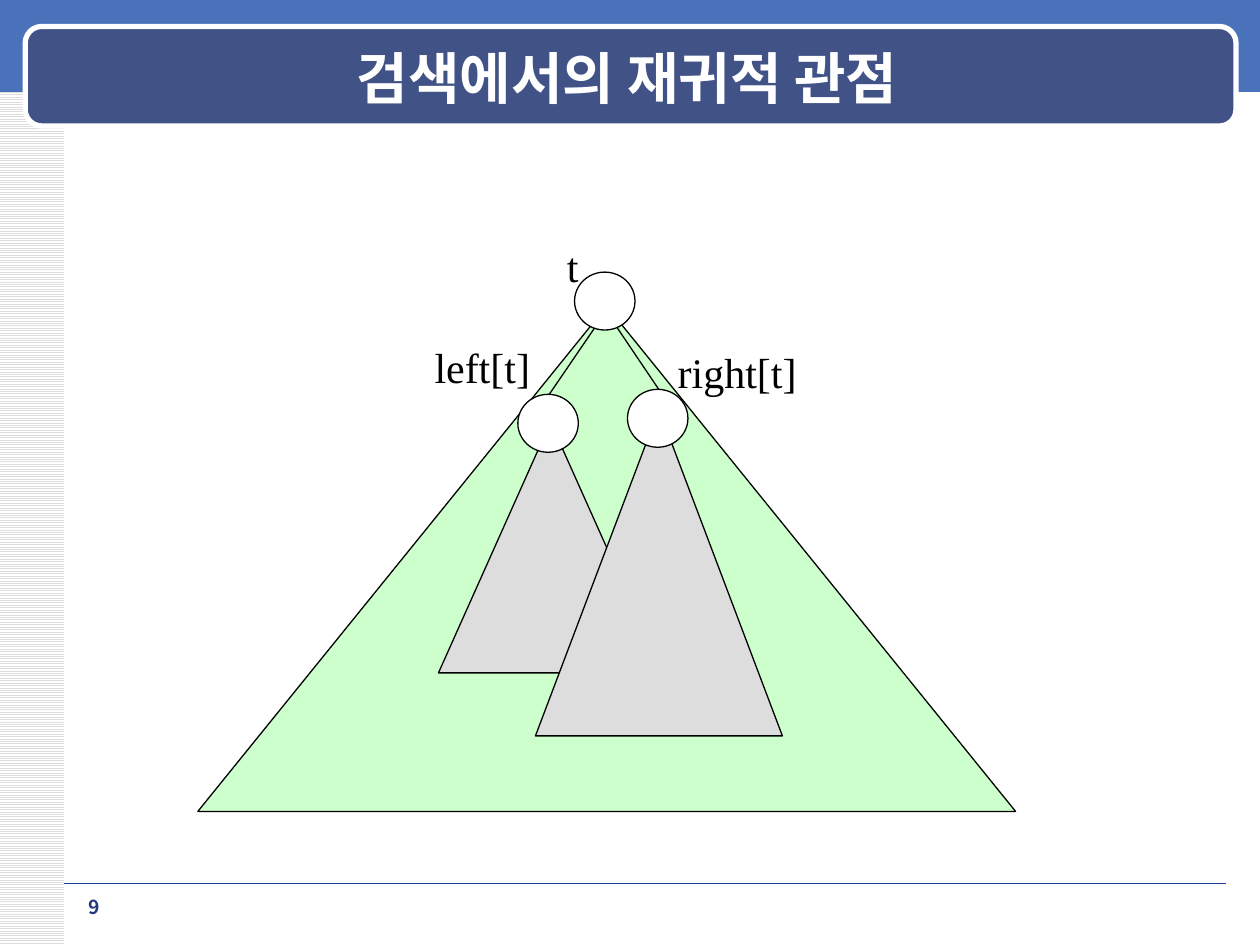
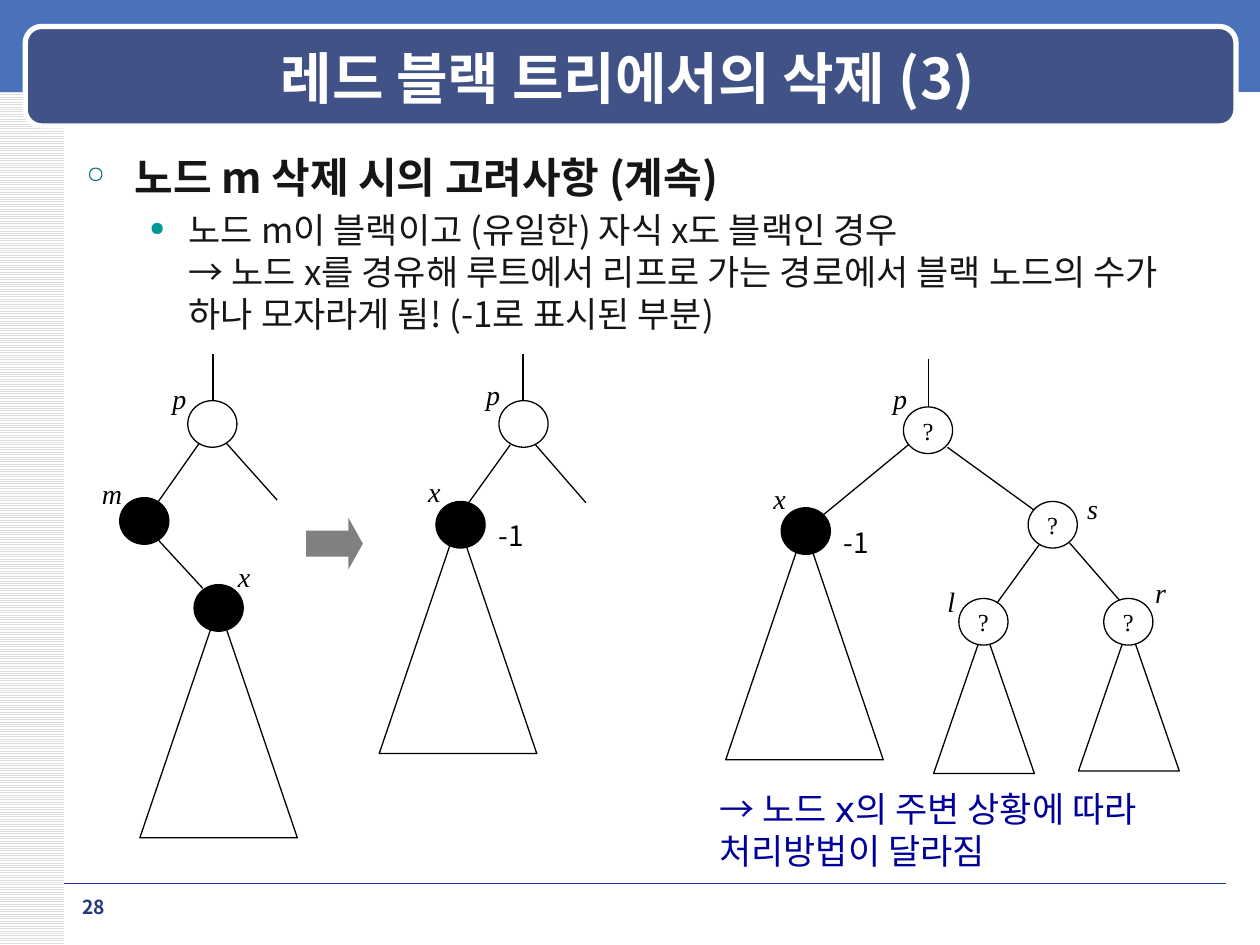
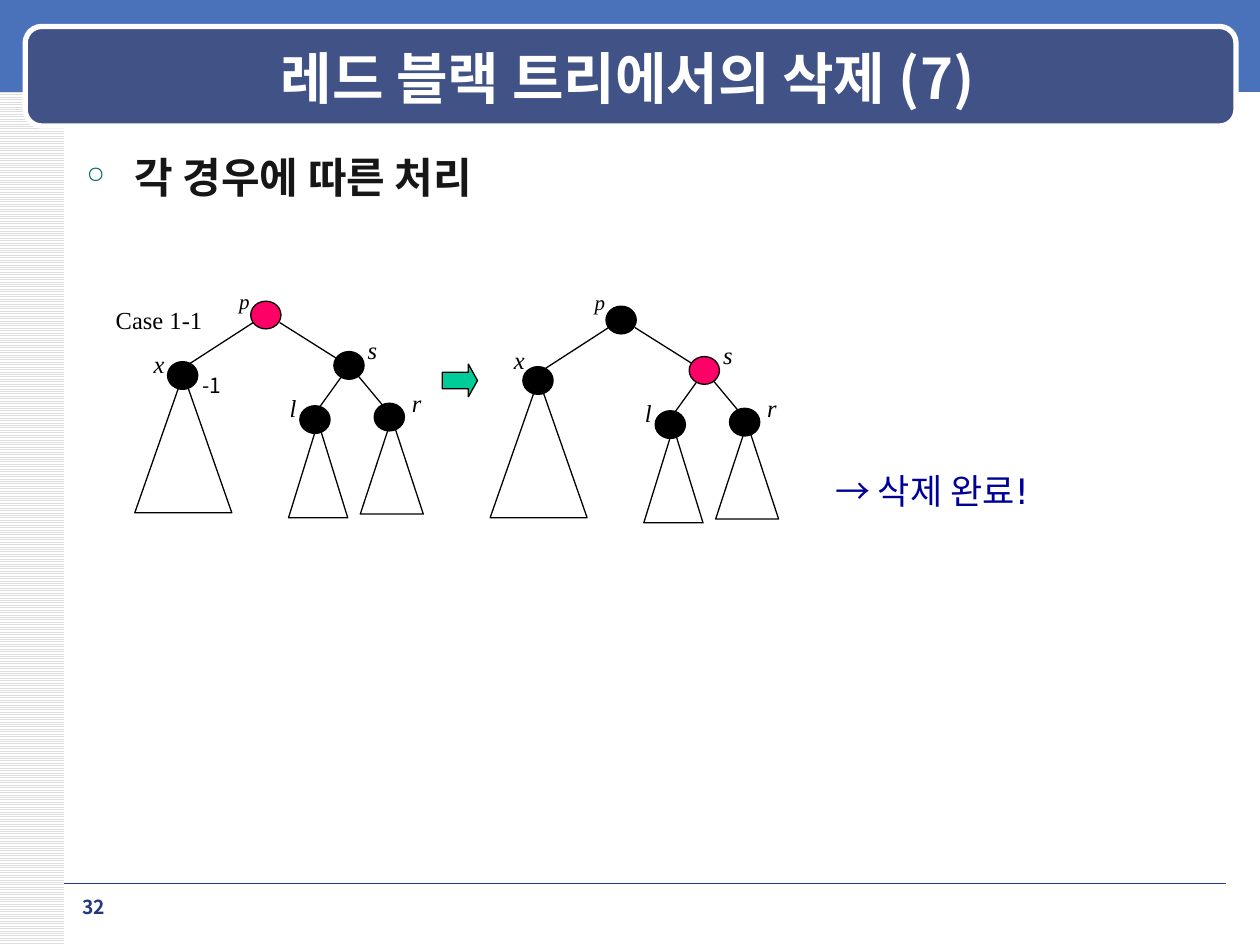
from lxml.etree import SubElement
from pptx import Presentation
from pptx.dml.color import RGBColor
from pptx.enum.dml import MSO_PATTERN
from pptx.enum.shapes import MSO_CONNECTOR, MSO_SHAPE
from pptx.enum.text import MSO_ANCHOR, PP_ALIGN
from pptx.oxml.ns import qn
from pptx.util import Inches, Pt

COLORS = {
    "band": "4972BB", "title_bar": "405286", "rule": "1A3D97", "number": "23387D",
    "stripe": "DDDDDD", "white": "FFFFFF", "black": "000000", "text": "161616",
    "note": "000099", "bullet": "006666", "sub_bullet": "009999",
    "tree": "CCFFCC", "subtree": "DDDDDD", "red": "FF0066",
    "gray_arrow": "808080", "green_arrow": "00CC99",
}
GOTHIC = "Noto Sans CJK KR"
SERIF = "Times New Roman"
SANS = "DejaVu Sans"


def rgb(name):
    return RGBColor.from_string(COLORS[name])


def inches(*values):
    return [Inches(v) for v in values]


def style(p, size, font, color, bold=False, italic=False):
    for r in p.runs:
        r.font.size = Pt(size)
        r.font.name = font
        r.font.bold = bold
        r.font.italic = italic
        r.font.color.rgb = rgb(color)
        SubElement(r._r.get_or_add_rPr(), qn("a:ea")).set("typeface", GOTHIC)


def shape(s, kind, x, y, w, h, fill=None, line="black", width=0.75):
    sp = s.shapes.add_shape(kind, *inches(x, y, w, h))
    sp.shadow.inherit = False
    if fill:
        sp.fill.solid()
        sp.fill.fore_color.rgb = rgb(fill)
    else:
        sp.fill.background()
    if line:
        sp.line.color.rgb = rgb(line)
        sp.line.width = Pt(width)
    else:
        sp.line.fill.background()
    return sp


def line(s, x1, y1, x2, y2, color="black", width=0.75):
    c = s.shapes.add_connector(MSO_CONNECTOR.STRAIGHT, *inches(x1, y1, x2, y2))
    c.line.color.rgb = rgb(color)
    c.line.width = Pt(width)
    SubElement(c._element.spPr, qn("a:effectLst"))


def triangle(s, x, y, w, h, fill=None):
    shape(s, MSO_SHAPE.ISOSCELES_TRIANGLE, x, y, w, h, fill)


def node(s, x, y, w, h, fill, text=""):
    sp = shape(s, MSO_SHAPE.OVAL, x, y, w, h, fill)
    if text:
        tf = sp.text_frame
        tf.word_wrap = False
        tf.vertical_anchor = MSO_ANCHOR.MIDDLE
        p = tf.paragraphs[0]
        p.text = text
        p.alignment = PP_ALIGN.CENTER
        style(p, 14, SERIF, "black")


def arrow(s, x, y, w, h, fill, border):
    sp = shape(s, MSO_SHAPE.RIGHT_ARROW, x, y, w, h, fill, border)
    sp.adjustments[0] = 0.5
    sp.adjustments[1] = 0.28


def textbox(s, x, y, w, h, text, wrap=True):
    tf = s.shapes.add_textbox(*inches(x, y, w, h)).text_frame
    tf.word_wrap = wrap
    tf.paragraphs[0].text = text
    return tf


def label(s, text, x, y, w, h, size, font=SERIF, italic=False):
    tf = textbox(s, x, y, w, h, text, wrap=False)
    style(tf.paragraphs[0], size, font, "black", italic=italic)


def note(s, x, y, w, h, text):
    p = textbox(s, x, y, w, h, text).paragraphs[0]
    p.level = 1
    p._p.get_or_add_pPr().set("marL", str(Inches(0.5)))
    style(p, 20, SANS, "note")


def bullet(p, char, color, left, hanging):
    pPr = p._p.get_or_add_pPr()
    pPr.set("marL", str(Inches(left)))
    pPr.set("indent", str(-Inches(hanging)))
    clr = SubElement(pPr, qn("a:buClr"))
    SubElement(clr, qn("a:srgbClr")).set("val", COLORS[color])
    SubElement(pPr, qn("a:buSzPct")).set("val", "55000")
    SubElement(pPr, qn("a:buChar")).set("char", char)


def body(s, heading, detail=None):
    tf = textbox(s, 0.59, 1.15, 8.8, 5.75, heading)
    p = tf.paragraphs[0]
    bullet(p, "○", "bullet", 0.38, 0.38)
    style(p, 24, GOTHIC, "text", bold=True)
    if detail:
        p = tf.add_paragraph()
        p.text = detail
        p.level = 1
        bullet(p, "●", "sub_bullet", 0.81, 0.31)
        p.space_before = Pt(4)
        style(p, 20, GOTHIC, "text")


def new_slide(prs, title, number):
    s = prs.slides.add_slide(prs.slide_layouts[6])
    side = shape(s, MSO_SHAPE.RECTANGLE, 0, 0, 0.51, 7.5, line=None)
    side.fill.patterned()
    side.fill.pattern = MSO_PATTERN.LIGHT_HORIZONTAL
    side.fill.fore_color.rgb = rgb("stripe")
    side.fill.back_color.rgb = rgb("white")
    shape(s, MSO_SHAPE.RECTANGLE, 0, -0.03, 10, 0.76, "band", None)
    line(s, 0.51, 7.01, 9.73, 7.01, "rule", 0.1)
    shape(s, MSO_SHAPE.ROUNDED_RECTANGLE, 0.2, 0.21, 9.61, 0.79, "title_bar", "white", 3)
    tf = textbox(s, 0.71, 0.3, 8.54, 0.62, title)
    tf.vertical_anchor = MSO_ANCHOR.MIDDLE
    p = tf.paragraphs[0]
    p.alignment = PP_ALIGN.CENTER
    style(p, 32, GOTHIC, "white", bold=True)
    p = textbox(s, 0.51, 7.06, 0.47, 0.27, str(number)).paragraphs[0]
    p.alignment = PP_ALIGN.CENTER
    style(p, 11, GOTHIC, "number", bold=True)
    return s


def recursion_slide(prs):
    s = new_slide(prs, "검색에서의 재귀적 관점", 9)
    triangle(s, 1.57, 2.43, 6.49, 4.01, "tree")
    for x, y in [(4.25, 3.29), (5.37, 3.3)]:
        line(s, 4.81, 2.47, x, y)
    triangle(s, 3.48, 3.35, 1.78, 1.99, "subtree")
    triangle(s, 4.25, 3.25, 1.96, 2.59, "subtree")
    for x, y in [(4.11, 3.13), (4.56, 2.16), (4.98, 3.09)]:
        node(s, x, y, 0.48, 0.46, "white")
    for text, x, y, w in [("left[t]", 3.35, 2.66, 0.98), ("t", 4.4, 1.86, 0.29),
                          ("right[t]", 5.28, 2.7, 1.2)]:
        label(s, text, x, y, w, 0.5, 24)


def deletion_slide(prs):
    s = new_slide(prs, "레드 블랙 트리에서의 삭제 (3)", 28)
    body(s, "노드 m 삭제 시의 고려사항 (계속)",
         "노드 m이 블랙이고 (유일한) 자식 x도 블랙인 경우\n"
         "→ 노드 x를 경유해 루트에서 리프로 가는 경로에서 블랙 노드의 "
         "수가 하나 모자라게 됨! (-1로 표시된 부분)")
    for x, y in [(1.11, 4.81), (3.01, 4.14), (5.76, 4.19)]:
        triangle(s, x, y, 1.25, 1.84)
    for x, y in [(7.41, 4.98), (8.56, 4.96)]:
        triangle(s, x, y, 0.8, 1.16)
    edges = [
        (1.69, 2.81, 1.69, 3.18), (1.58, 3.52, 1.25, 3.99),
        (1.79, 3.51, 2.2, 3.97), (1.26, 4.29, 1.61, 4.67),
        (4.15, 2.81, 4.15, 3.18), (4.05, 3.53, 3.72, 3.99),
        (4.25, 3.53, 4.65, 3.99),
        (7.37, 2.85, 7.37, 3.23), (7.21, 3.53, 6.53, 4.09),
        (7.52, 3.55, 8.21, 4.05), (8.25, 4.32, 7.91, 4.79),
        (8.49, 4.31, 8.89, 4.77),
    ]
    for edge in edges:
        line(s, *edge)
    nodes = [
        (1.49, 3.18, "white", ""), (0.95, 3.95, "black", ""), (1.54, 4.64, "black", ""),
        (3.96, 3.18, "white", ""), (3.46, 3.98, "black", ""),
        (7.17, 3.23, "white", "?"), (6.2, 4.03, "black", ""), (8.16, 3.98, "white", "?"),
        (7.61, 4.75, "white", "?"), (8.76, 4.75, "white", "?"),
    ]
    for x, y, fill, text in nodes:
        node(s, x, y, 0.39, 0.37, fill, text)
    arrow(s, 2.43, 4.11, 0.45, 0.41, "gray_arrow", None)
    names = [
        ("p", 1.27, 2.98), ("m", 0.71, 3.73), ("x", 1.79, 4.39),
        ("p", 3.76, 2.95), ("x", 3.3, 3.72),
        ("p", 6.99, 2.98), ("x", 6.04, 3.77), ("s", 8.53, 3.85),
        ("l", 7.42, 4.59), ("r", 9.07, 4.52),
    ]
    for text, x, y in names:
        label(s, text, x, y, 0.34, 0.37, 16, italic=True)
    for x, y in [(3.86, 4.07), (6.6, 4.12)]:
        label(s, "-1", x, y, 0.47, 0.37, 16, GOTHIC)
    note(s, 5.11, 6.2, 4.46, 0.77, "→ 노드 x의 주변 상황에 따라 처리방법이 달라짐")


def case_tree(s, dx, dy, p_fill, s_fill, p_label, x_label):
    for x, y, w, h in [(1.07, 2.97, 0.77, 1.1), (2.29, 3.35, 0.47, 0.76),
                       (2.86, 3.32, 0.5, 0.76)]:
        triangle(s, x + dx, y + dy, w, h)
    for x1, y1, x2, y2 in [(2.01, 2.56, 1.5, 2.89), (2.22, 2.56, 2.68, 2.85),
                           (2.71, 2.99, 2.53, 3.24), (2.84, 2.98, 3.04, 3.22)]:
        line(s, x1 + dx, y1 + dy, x2 + dx, y2 + dy)
    for x, y, fill in [(1.99, 2.39, p_fill), (1.33, 2.87, "black"), (2.65, 2.79, s_fill),
                       (2.38, 3.22, "black"), (2.97, 3.2, "black")]:
        node(s, x + dx, y + dy, 0.24, 0.22, fill)
    for text, x, y in [("s", 2.82, 2.61), ("l", 2.2, 3.07), ("r", 3.17, 3.03)]:
        label(s, text, x + dx, y + dy, 0.28, 0.33, 14, italic=True)
    label(s, "p", *p_label, 0.28, 0.3, 12, italic=True)
    label(s, "x", *x_label, 0.29, 0.33, 14, italic=True)


def case_slide(prs):
    s = new_slide(prs, "레드 블랙 트리에서의 삭제 (7)", 32)
    body(s, "각 경우에 따른 처리")
    case_tree(s, 0, 0, "red", "black", (1.8, 2.24), (1.12, 2.72))
    case_tree(s, 2.82, 0.04, "black", "red", (4.62, 2.25), (3.98, 2.69))
    label(s, "Case 1-1", 0.82, 2.37, 0.92, 0.33, 14)
    label(s, "-1", 1.51, 2.91, 0.4, 0.3, 12, GOTHIC)
    arrow(s, 3.51, 2.89, 0.28, 0.26, "green_arrow", "black")
    note(s, 6.03, 3.68, 2.6, 0.44, "→ 삭제 완료!")


def main():
    prs = Presentation()
    prs.slide_width, prs.slide_height = inches(10, 7.5)
    recursion_slide(prs)
    deletion_slide(prs)
    case_slide(prs)
    prs.save("out.pptx")


if __name__ == "__main__":
    main()
